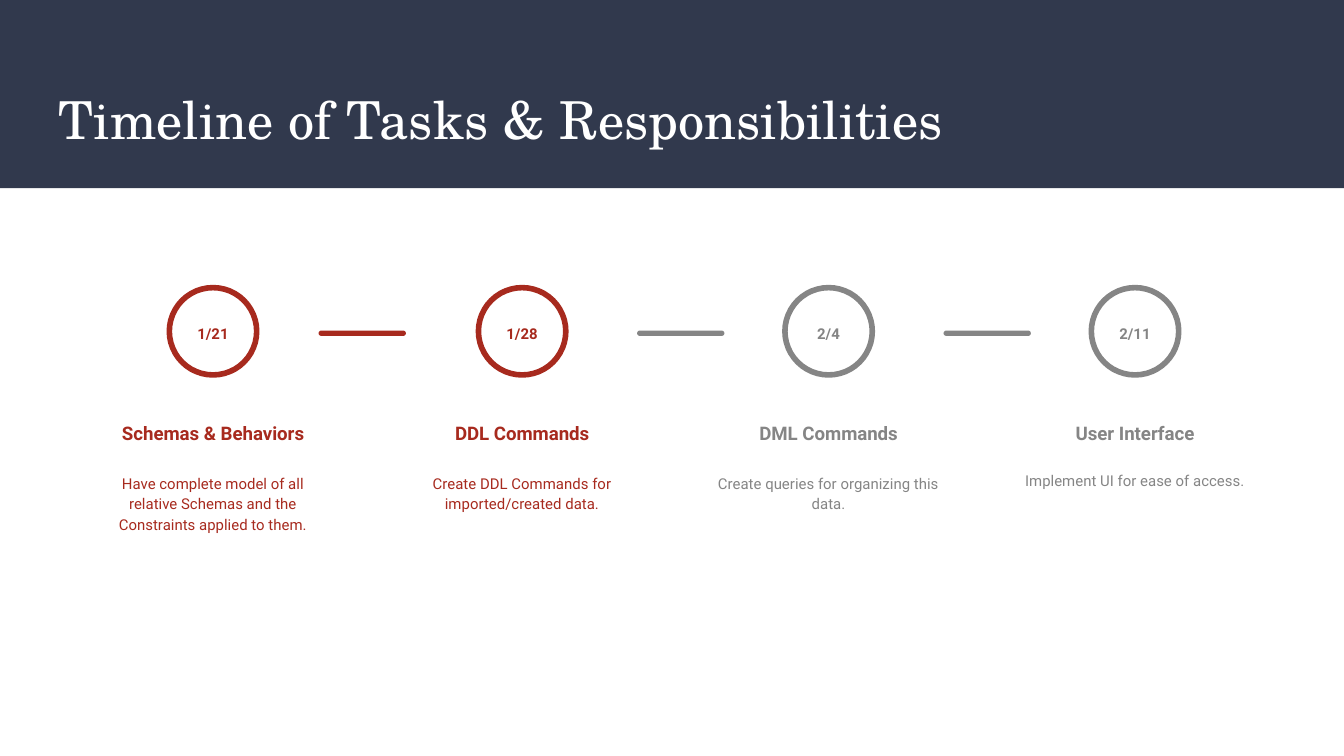
import dataclasses

import pptx
import pptx.dml.color
import pptx.enum.shapes
import pptx.enum.text
import pptx.util

COLORS = {"navy": "31394D", "white": "FFFFFF", "active": "A72A1E", "upcoming": "858585"}
CELL = pptx.util.Inches(0.1)
SLIDE_COLUMNS, SLIDE_ROWS = 100, 56.25
STEP_TOP, STEP_WIDTH, STEP_HEIGHT = 21.4, 18.7, 20.8
BAR_TOP, BAR_WIDTH, BAR_HEIGHT = 24.6, 6.5, 0.4

STEPS = [
    (6.5, "active", "1/21", "Schemas & Behaviors",
     "Have complete model of all relative Schemas and the Constraints applied to them."),
    (29.5, "active", "1/28", "DDL Commands",
     "Create DDL Commands for imported/created data."),
    (52.3, "upcoming", "2/4", "DML Commands",
     "Create queries for organizing this data."),
    (75.1, "upcoming", "2/11", "User Interface",
     "Implement UI for ease of access."),
]
BARS = [(23.7, "active"), (47.4, "upcoming"), (70.2, "upcoming")]


@dataclasses.dataclass
class Box:
    left: float
    top: float
    width: float
    height: float

    def inner(self, left, top, width, height):
        return Box(self.left + left, self.top + top, width, height)

    def lengths(self):
        return [round(cells * CELL) for cells in dataclasses.astuple(self)]


def rgb(color):
    return pptx.dml.color.RGBColor.from_string(COLORS[color])


def add_filled(shapes, kind, box, color):
    shape = shapes.add_shape(kind, *box.lengths())
    shape.shadow.inherit = False
    shape.fill.solid()
    shape.fill.fore_color.rgb = rgb(color)
    shape.line.fill.background()
    return shape


def add_text(shapes, box, text, font_name, size, color, bold=False, centered=True, bottom=False):
    text_frame = shapes.add_textbox(*box.lengths()).text_frame
    text_frame.word_wrap = True
    text_frame.margin_left = text_frame.margin_right = CELL
    text_frame.margin_top = text_frame.margin_bottom = CELL
    anchors = pptx.enum.text.MSO_ANCHOR
    text_frame.vertical_anchor = anchors.BOTTOM if bottom else anchors.TOP
    text_frame.text = text
    paragraph = text_frame.paragraphs[0]
    if centered:
        paragraph.alignment = pptx.enum.text.PP_ALIGN.CENTER
        paragraph.line_spacing = 1.15
    font = paragraph.runs[0].font
    font.name = font_name
    font.size = pptx.util.Pt(size)
    font.bold = bold
    font.color.rgb = rgb(color)


def add_header(slide, box):
    add_filled(slide.shapes, pptx.enum.shapes.MSO_SHAPE.RECTANGLE, box, "navy")
    add_text(slide.shapes, box.inner(3.4, 5.5, 93.2, 6.8), "Timeline of Tasks & Responsibilities",
             "TeX Gyre Schola", 28, "white", centered=False)


def add_step(slide, box, color, date, heading, description):
    shapes = slide.shapes.add_group_shape().shapes
    circle = shapes.add_shape(pptx.enum.shapes.MSO_SHAPE.OVAL, *box.inner(6.1, 0, 6.5, 6.5).lengths())
    circle.shadow.inherit = False
    circle.fill.background()
    circle.line.color.rgb = rgb(color)
    circle.line.width = pptx.util.Pt(3)
    add_text(shapes, box.inner(6.95, 1.8, 4.8, 3.5), date, "Roboto", 8, color, bold=True)
    add_text(shapes, box.inner(0, 7.7, box.width, 4.9), heading, "Roboto", 10, color,
             bold=True, bottom=True)
    add_text(shapes, box.inner(0, 12.7, box.width, 8.1), description, "Roboto", 8, color)


def add_bar(slide, box, color):
    bar = add_filled(slide.shapes, pptx.enum.shapes.MSO_SHAPE.ROUNDED_RECTANGLE, box, color)
    bar.adjustments[0] = 0.5


def main():
    presentation = pptx.Presentation()
    presentation.slide_width = round(SLIDE_COLUMNS * CELL)
    presentation.slide_height = round(SLIDE_ROWS * CELL)
    slide = presentation.slides.add_slide(presentation.slide_layouts[6])
    add_header(slide, Box(0, 0, SLIDE_COLUMNS, 14))
    for left, *content in STEPS:
        add_step(slide, Box(left, STEP_TOP, STEP_WIDTH, STEP_HEIGHT), *content)
    for left, color in BARS:
        add_bar(slide, Box(left, BAR_TOP, BAR_WIDTH, BAR_HEIGHT), color)
    presentation.save("out.pptx")


if __name__ == "__main__":
    main()
